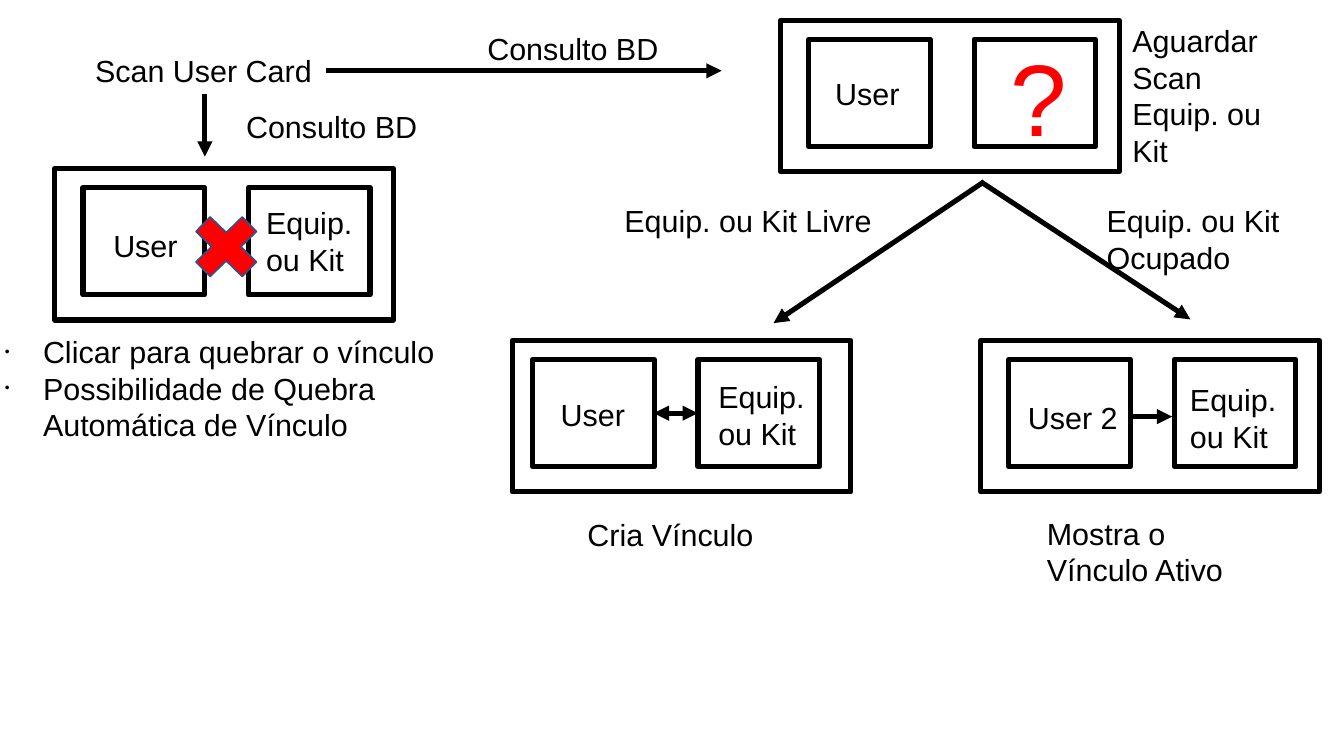
from typing import NamedTuple

from lxml.etree import SubElement
from pptx import Presentation
from pptx.dml.color import RGBColor
from pptx.enum.shapes import MSO_CONNECTOR, MSO_SHAPE
from pptx.enum.text import MSO_AUTO_SIZE
from pptx.oxml.ns import qn
from pptx.util import Pt

COLORS = {"ink": "000000", "red": "FF0000", "edge": "2F528F"}
FONT = "Arial"
STROKE = 3
OUTER = (200, 89.5)
INNER = (71.8, 63.5)
STEP, DROP = 97.7, 11.2  # from one inner box to the next; top margin


class Panel(NamedTuple):
    left: float
    top: float
    pad: float = 16.6


class Label(NamedTuple):
    text: str
    left: float
    top: float
    width: float
    height: float = 28
    wrap: bool = False
    size: float = 18
    color: str = "ink"


class Arrow(NamedTuple):
    start: tuple[float, float]
    end: tuple[float, float]
    double: bool = False


PANELS = [
    Panel(32.4, 99.5),
    Panel(460.8, 12),
    Panel(302.4, 201, 12),
    Panel(579, 201),
]

ARROWS = [
    Arrow((121, 55.6), (121, 92.5)),
    Arrow((192.5, 41.8), (426, 41.8)),
    Arrow((581, 107.3), (456.7, 190.8)),
    Arrow((579, 107.3), (702.8, 188.6)),
    Arrow((386, 244), (412, 244), double=True),
    Arrow((666, 246), (692, 246)),
]

PAIR = "Equip. ou Kit"
LABELS = [
    # Steps and outcomes
    Label("Scan User Card", 49, 27.4, 143.3),
    Label("Consulto BD", 138.2, 60.5, 116.6),
    Label("Consulto BD", 280.6, 14.4, 116.6),
    Label("Aguardar Scan Equip. ou Kit", 661.5, 9.6, 103, 91, True),
    Label("Equip. ou Kit Livre", 361.5, 116, 162),
    Label("Equip. ou Kit Ocupado", 646.3, 116, 139.7, 49, True),
    Label("Cria Vínculo", 339.8, 301, 113),
    Label("Mostra o Vínculo Ativo", 611, 300.3, 139.7, 49, True),
    # Box contents
    Label("User", 59.8, 130.5, 52.6),
    Label(PAIR, 150, 117.2, 72, 49, True),
    Label("User", 486, 41, 52.6),
    Label("?", 589.7, 17.3, 72, 77, True, 60, "red"),
    Label("User", 324, 230.3, 52.6),
    Label(PAIR, 417, 219.7, 72, 49, True),
    Label("User 2", 599.8, 232, 67.7),
    Label(PAIR, 695.5, 221.7, 72, 49, True),
]

ITEMS = [
    "Clicar para quebrar o vínculo",
    "Possibilidade de Quebra Automática de Vínculo",
]


def paint(name: str) -> RGBColor:
    return RGBColor.from_string(COLORS[name])


def write(para, text: str, size: float = 18, color: str = "ink") -> None:
    run = para.add_run()
    run.text = text
    run.font.name = FONT
    run.font.size = Pt(size)
    run.font.color.rgb = paint(color)


def place(shape, left: float, top: float, width: float, height: float) -> None:
    shape.left, shape.top = Pt(left), Pt(top)
    shape.width, shape.height = Pt(width), Pt(height)


def draw_box(slide, left: float, top: float, size: tuple[float, float]) -> None:
    box = slide.shapes.add_shape(
        MSO_SHAPE.RECTANGLE, Pt(left), Pt(top), Pt(size[0]), Pt(size[1]))
    box.shadow.inherit = False
    box.fill.background()
    box.line.color.rgb = paint("ink")
    box.line.width = Pt(STROKE)


def draw_panel(slide, panel: Panel) -> None:
    draw_box(slide, panel.left, panel.top, OUTER)
    for col in range(2):
        draw_box(slide, panel.left + panel.pad + col * STEP,
                 panel.top + DROP, INNER)


def draw_arrow(slide, arrow: Arrow) -> None:
    link = slide.shapes.add_connector(
        MSO_CONNECTOR.STRAIGHT, *map(Pt, arrow.start + arrow.end))
    link.line.color.rgb = paint("ink")
    link.line.width = Pt(STROKE)
    line = link.line._get_or_add_ln()
    for tag in ["a:headEnd", "a:tailEnd"] if arrow.double else ["a:tailEnd"]:
        SubElement(line, qn(tag), type="triangle")
    SubElement(link._element.spPr, qn("a:effectLst"))


def draw_label(slide, label: Label) -> None:
    box = slide.shapes.add_textbox(
        Pt(label.left), Pt(label.top), Pt(label.width), Pt(label.height))
    frame = box.text_frame
    frame.word_wrap = label.wrap
    frame.auto_size = MSO_AUTO_SIZE.SHAPE_TO_FIT_TEXT
    write(frame.paragraphs[0], label.text, label.size, label.color)


def draw_cross(slide) -> None:
    cross = slide.shapes.add_shape(
        MSO_SHAPE.MATH_MULTIPLY, Pt(107.3), Pt(120.2), Pt(52.6), Pt(51))
    cross.shadow.inherit = False
    cross.fill.solid()
    cross.fill.fore_color.rgb = paint("red")
    cross.line.color.rgb = paint("edge")
    cross.line.width = Pt(1)


def add_bullet(para) -> None:
    props = para._p.get_or_add_pPr()
    props.set("marL", str(Pt(22.5)))
    props.set("indent", str(-Pt(22.5)))
    tint = SubElement(props, qn("a:buClr"))
    SubElement(tint, qn("a:srgbClr"), val=COLORS["ink"])
    SubElement(props, qn("a:buSzPct"), val="45000")
    SubElement(props, qn("a:buFont"), typeface=FONT)
    SubElement(props, qn("a:buChar"), char="•")


def fill_list(body, items: list[str]) -> None:
    place(body, -4.3, 193, 274.3, 70)
    frame = body.text_frame
    frame.word_wrap = True
    frame.auto_size = MSO_AUTO_SIZE.SHAPE_TO_FIT_TEXT
    for row, item in enumerate(items):
        para = frame.add_paragraph() if row else frame.paragraphs[0]
        para.space_before = Pt(0)
        add_bullet(para)
        write(para, item)


deck = Presentation()
deck.slide_width, deck.slide_height = Pt(793.5), Pt(446.4)
slide = deck.slides.add_slide(deck.slide_layouts[1])

# The flow has no heading
title = slide.shapes.title._element
title.getparent().remove(title)

# Notes on breaking the link
fill_list(slide.placeholders[1], ITEMS)

# Flow: boxes, arrows, cross, then text on top
for panel in PANELS:
    draw_panel(slide, panel)
for arrow in ARROWS:
    draw_arrow(slide, arrow)
draw_cross(slide)
for label in LABELS:
    draw_label(slide, label)

deck.save("out.pptx")
